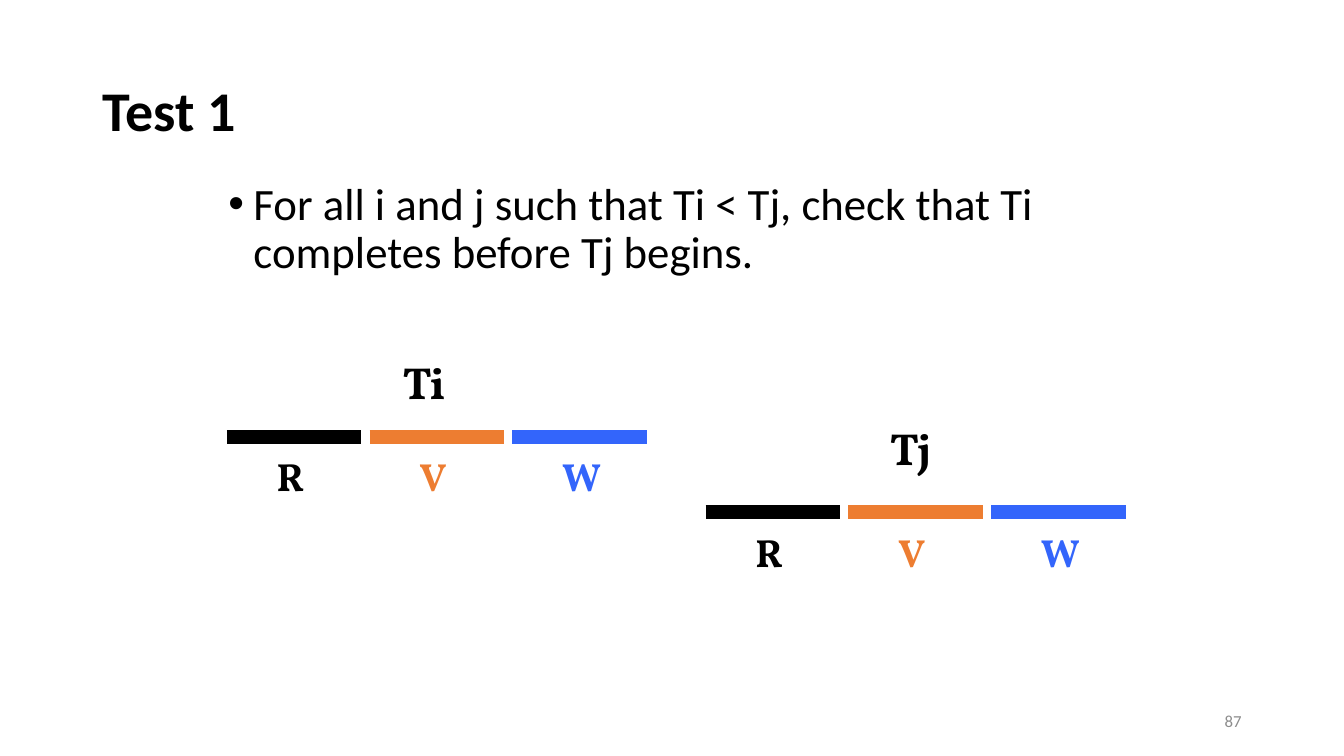
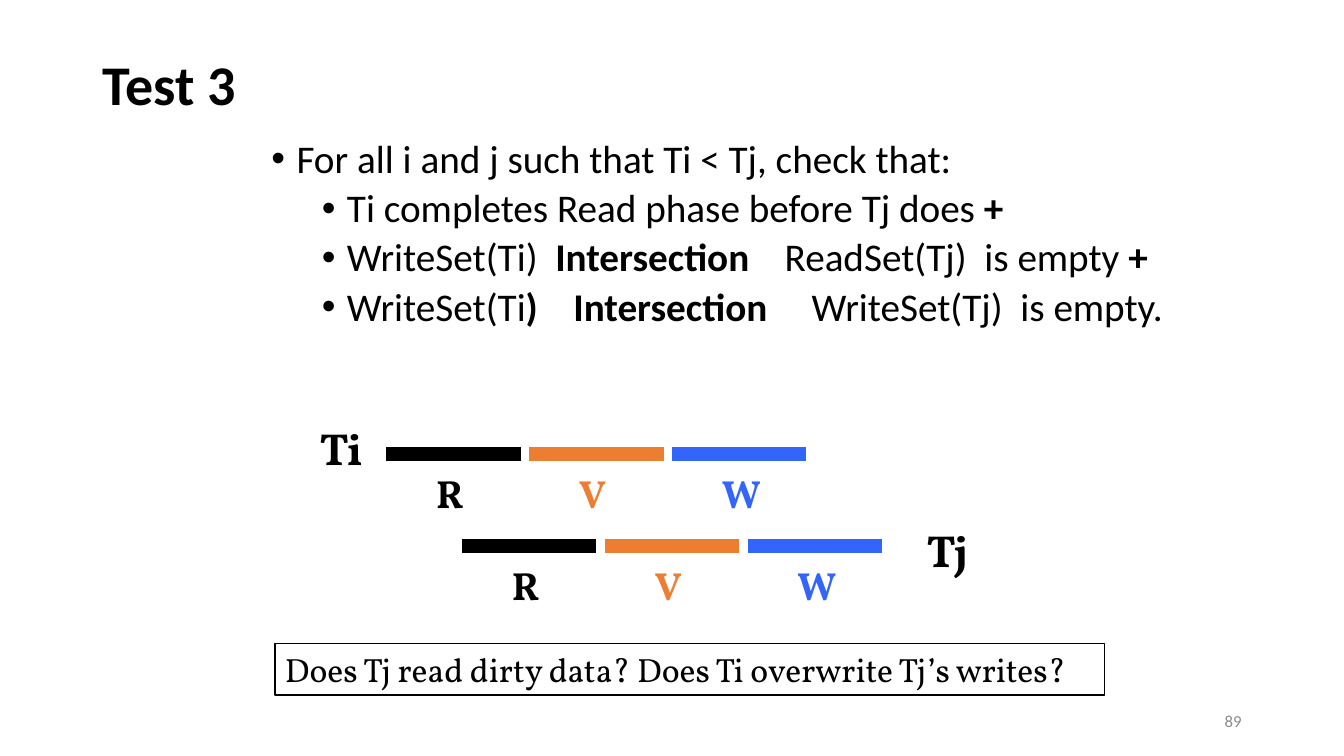
import pptx
import pptx.dml.color
import pptx.enum.shapes
import pptx.enum.text
import pptx.oxml
import pptx.oxml.ns
import pptx.util
from lxml import etree

BLACK = pptx.dml.color.RGBColor(0x00, 0x00, 0x00)
ORANGE = pptx.dml.color.RGBColor(0xED, 0x7D, 0x31)
BLUE = pptx.dml.color.RGBColor(0x33, 0x65, 0xFB)
GREY = pptx.dml.color.RGBColor(0x8C, 0x8C, 0x8C)

SANS = "Calibri"
SERIF = "Vollkorn"
PX = 9525
PHASES = [("R", BLACK), ("V", ORANGE), ("W", BLUE)]
BAR_WIDTH = 128
BAR_PITCH = 136
LABEL_INDENT = 38
LABEL_DROP = 10
BULLET_INDENT = 24
LEVEL_INDENT = 48
SPACE_WIDTH = 0.226  # Calibri space, in ems

ALIGN = pptx.enum.text.PP_ALIGN
ANCHOR = pptx.enum.text.MSO_ANCHOR


def px(*lengths):
    return [pptx.util.Emu(length * PX) for length in lengths]


def add_run(p, text, size=28, font=SANS, color=BLACK, bold=False, spacing=0):
    """Append formatted text; spacing widens each letter by that many points."""
    r = p.add_run()
    r.text = text
    r.font.size = pptx.util.Pt(size)
    r.font.name = font
    r.font.bold = bold
    r.font.color.rgb = color
    if spacing:
        r.font._element.set("spc", str(round(spacing * 100)))


def set_frame(tf, anchor=ANCHOR.TOP):
    tf.word_wrap = True
    tf.auto_size = pptx.enum.text.MSO_AUTO_SIZE.NONE
    tf.vertical_anchor = anchor


def add_text(s, box, text, align=ALIGN.LEFT, anchor=ANCHOR.TOP, **style):
    sp = s.shapes.add_textbox(*px(*box))
    set_frame(sp.text_frame, anchor)
    p = sp.text_frame.paragraphs[0]
    p.alignment = align
    add_run(p, text, **style)


def set_title(s, box, text):
    sp = s.shapes.title
    sp.left, sp.top, sp.width, sp.height = px(*box)
    set_frame(sp.text_frame, ANCHOR.MIDDLE)
    p = sp.text_frame.paragraphs[0]
    p.alignment = ALIGN.LEFT
    p.line_spacing = 0.9
    add_run(p, text, size=40, bold=True)


def set_bullet(p, level):
    p.level = level
    p_pr = p._p.get_or_add_pPr()
    p_pr.set("marL", str((BULLET_INDENT + LEVEL_INDENT * level) * PX))
    p_pr.set("indent", str(-BULLET_INDENT * PX))
    font = etree.SubElement(p_pr, pptx.oxml.ns.qn("a:buFont"))
    font.set("typeface", "Arial")
    etree.SubElement(p_pr, pptx.oxml.ns.qn("a:buChar")).set("char", "•")


def add_bullets(s, box, items, size):
    """Items are (level, runs); a run is (text, bold) or (text, bold, extra spaces)."""
    tf = s.shapes.add_textbox(*px(*box)).text_frame
    set_frame(tf)
    for i, (level, runs) in enumerate(items):
        p = tf.add_paragraph() if i else tf.paragraphs[0]
        set_bullet(p, level)
        p.line_spacing = 0.9
        if i:
            p.space_before = pptx.util.Pt(5)
        for text, bold, *extra in runs:
            add_run(p, text, size=size, bold=bold,
                    spacing=sum(extra) * size * SPACE_WIDTH)


def add_bar(s, x, y, color):
    line = s.shapes.add_connector(
        pptx.enum.shapes.MSO_CONNECTOR.STRAIGHT, *px(x, y, x + BAR_WIDTH, y))
    line.line.color.rgb = color
    line.line.width = pptx.util.Pt(10)
    etree.SubElement(line._element.spPr, pptx.oxml.ns.qn("a:effectLst"))


def add_transaction(s, name, name_at, x, y):
    """Draw the read, validate and write phases as bars starting at x, y."""
    add_text(s, (*name_at, 64, 61), name, size=32, font=SERIF, bold=True)
    for i, (phase, color) in enumerate(PHASES):
        left = x + i * BAR_PITCH
        add_bar(s, left, y, color)
        add_text(s, (left + LABEL_INDENT, y + LABEL_DROP, 60, 55), phase,
                 font=SERIF, color=color, bold=True)


def add_question(s, box, text):
    sp = s.shapes.add_shape(pptx.enum.shapes.MSO_SHAPE.RECTANGLE, *px(*box))
    sp.shadow.inherit = False
    sp.fill.background()
    sp.line.color.rgb = BLACK
    sp.line.width = pptx.util.Pt(1)
    set_frame(sp.text_frame)
    p = sp.text_frame.paragraphs[0]
    p.alignment = ALIGN.LEFT
    add_run(p, text, size=24, font=SERIF)


def add_slide(prs, title, title_box, number):
    s = prs.slides.add_slide(prs.slide_layouts[5])
    set_title(s, title_box, title)
    add_text(s, (904, 667, 288, 38), number, align=ALIGN.RIGHT,
             anchor=ANCHOR.MIDDLE, size=12, color=GREY)
    return s


def build_test_1(prs):
    s = add_slide(prs, "Test 1", (88, 38, 1104, 140), "87")
    rule = "For all i and j such that Ti < Tj, check that Ti completes before Tj begins."
    add_bullets(s, (208, 168, 864, 125), [(0, [(rule, False)])], size=32)
    add_transaction(s, "Ti", (374, 333), 216, 416)
    add_transaction(s, "Tj", (838, 396), 672, 488)


def build_test_3(prs):
    s = add_slide(prs, "Test 3", (88, 38, 1096, 90), "89")
    add_bullets(s, (249, 128, 905, 181), [
        (0, [("For all i and j such that Ti < Tj, check that:", False)]),
        (1, [("Ti completes Read phase before Tj does ", False), ("+", True)]),
        (1, [("WriteSet(Ti)", False), (" ", False, 1),
             ("Intersection", True), (" ", True, 3),
             ("ReadSet(Tj)", False), (" ", False, 1),
             ("is empty ", False), ("+", True)]),
        (1, [("WriteSet(Ti", False), (")", True), (" ", True, 3),
             ("Intersection", True), (" ", True, 4),
             ("WriteSet(Tj)", False), (" ", False, 1),
             ("is empty.", False)]),
    ], size=28)
    add_transaction(s, "Ti", (295, 396), 368, 432)
    add_transaction(s, "Tj", (873, 493), 440, 520)
    add_question(s, (262, 613, 790, 49),
                 "Does Tj read dirty data? Does Ti overwrite Tj’s writes?")


def main():
    prs = pptx.Presentation()
    prs.slide_width, prs.slide_height = px(1280, 720)
    build_test_1(prs)
    build_test_3(prs)
    prs.save("out.pptx")


if __name__ == "__main__":
    main()
